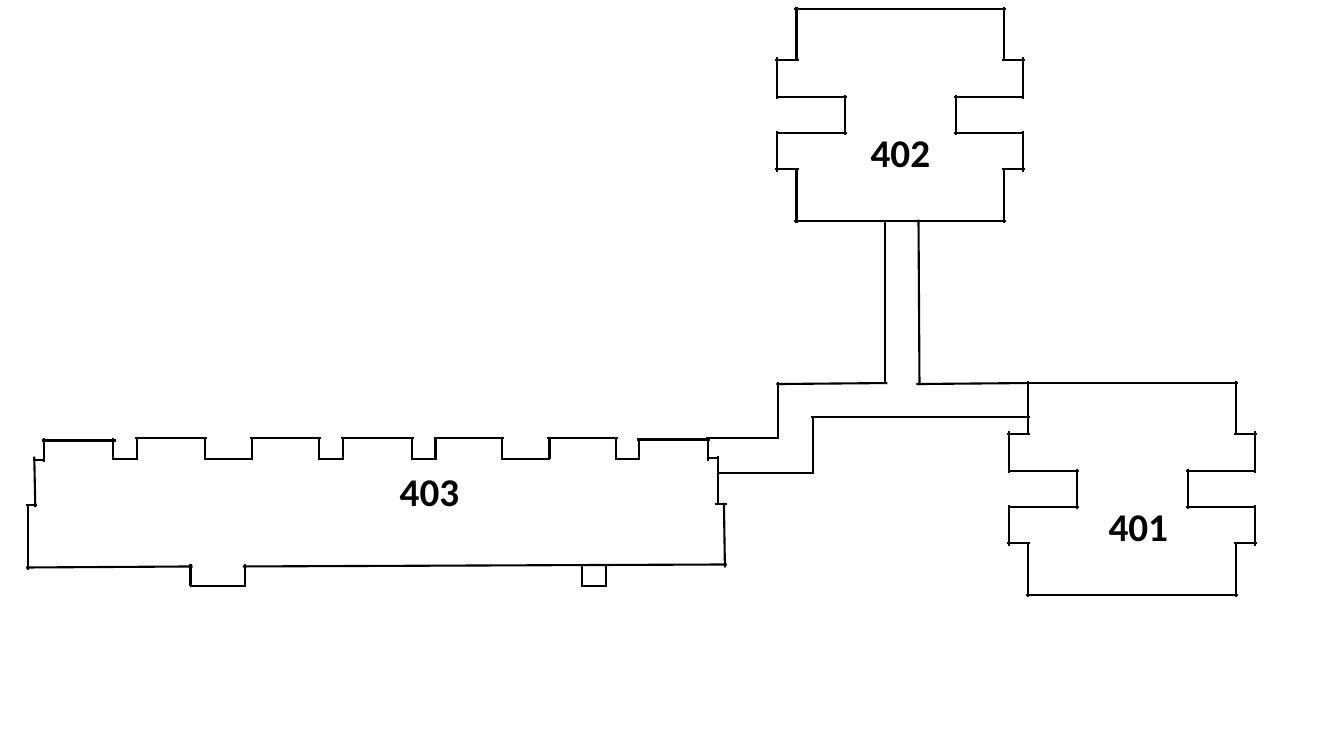
from itertools import pairwise, product

from lxml.etree import SubElement
from pptx import Presentation
from pptx.dml.color import RGBColor
from pptx.enum.shapes import MSO_CONNECTOR
from pptx.enum.text import MSO_ANCHOR, PP_ALIGN
from pptx.oxml.ns import qn
from pptx.util import Inches, Pt

BLACK = RGBColor(0x00, 0x00, 0x00)

LABELS = [
    ("401", 9.98, 4.93, 1.29),
    ("402", 7.62, 1.22, 1.01),
    ("403", 2.95, 4.59, 1.29),
]

TOWER_CENTERS = [(11.23, 4.85), (8.93, 1.14)]
TOWER_EDGE = (-1.05, 1.05, 1.05, 1.05)
TOWER_NOTCH_END = (0.55, -0.2, 0.55, 0.2)
TOWER_CORNER = [
    (1.03, 0.53, 1.03, 1.07),
    (1.01, 0.54, 1.24, 0.54),
    (1.22, 0.16, 1.22, 0.57),
    (0.53, 0.18, 1.23, 0.18),
]

HALL_WALLS = [
    (7.21, 5.6, 2.41, 5.62),
    (1.91, 5.62, 0.26, 5.63),
    (0.28, 5.65, 0.28, 5.01),
    (0.37, 5.01, 0.26, 5.01),
    (0.35, 5.03, 0.34, 4.53),
    (0.44, 4.56, 0.33, 4.56),
    (0.44, 4.58, 0.44, 4.35),
    (1.15, 4.37, 0.42, 4.37),
    (7.19, 5.63, 7.18, 4.99),
    (7.09, 5, 7.21, 5),
    (7.12, 5.01, 7.12, 4.52),
    (7.02, 4.54, 7.13, 4.54),
    (7.02, 4.57, 7.02, 4.34),
    (6.32, 4.36, 7.04, 4.36),
]
HALL_NOTCHES = [
    (1.12, 1.36), (2.03, 2.5), (3.16, 3.4),
    (4.09, 4.32), (4.98, 5.45), (6.11, 6.34),
]
HALL_BAYS = [(1.89, 2.43), (5.77, 6.01)]
NOTCH_TOP, NOTCH_FLOOR = 4.35, 4.55
BAY_TOP, BAY_FLOOR = 5.6, 5.81
OVERLAP = 0.02

CORRIDORS = [
    (8.78, 3.81, 8.78, 2.18),
    (9.12, 3.82, 9.11, 2.18),
    (10.19, 3.8, 9.09, 3.81),
    (8.8, 3.8, 7.7, 3.81),
    (7.72, 4.36, 7.72, 3.79),
    (7.73, 4.35, 7, 4.35),
    (10.22, 4.14, 8.04, 4.14),
    (8.06, 4.7, 8.06, 4.13),
    (8.07, 4.69, 7.12, 4.69),
]


def tower_walls(center_x, center_y):
    """Return the walls of one tower, mirrored about its center."""
    def mirrored(wall, across, down):
        x1, y1, x2, y2 = wall
        return (center_x + across * x1, center_y + down * y1,
                center_x + across * x2, center_y + down * y2)

    walls = [mirrored(wall, across, down)
             for wall in TOWER_CORNER
             for across, down in product((-1, 1), repeat=2)]
    for side in (-1, 1):
        walls.append(mirrored(TOWER_EDGE, 1, side))
        walls.append(mirrored(TOWER_NOTCH_END, side, 1))
    return walls


def recess_walls(left, right, top, floor):
    """Return the two sides and the floor of a recess."""
    return [(left, floor, left, top), (right, floor, right, top),
            (left - 0.01, floor, right + 0.01, floor)]


def hall_walls():
    """Return the walls of the long hall."""
    walls = list(HALL_WALLS)
    for left, right in HALL_NOTCHES:
        walls += recess_walls(left, right, NOTCH_TOP, NOTCH_FLOOR)
    for left, right in HALL_BAYS:
        walls += recess_walls(left, right, BAY_TOP, BAY_FLOOR)
    for (_, start), (end, _) in pairwise(HALL_NOTCHES):
        walls.append((start - OVERLAP, NOTCH_TOP, end + OVERLAP, NOTCH_TOP))
    return walls


def add_wall(slide, wall):
    """Draw one wall as a straight black line."""
    line = slide.shapes.add_connector(
        MSO_CONNECTOR.STRAIGHT, *(Inches(length) for length in wall))
    line.line.color.rgb = BLACK
    line.line.width = Pt(1.5)
    SubElement(line._element.spPr, qn("a:effectLst"))


def add_label(slide, text, left, top, height, *, width=2.62, size=28,
              font="Calibri", color=BLACK, bold=True, rotation=359.9):
    """Add a centred building number."""
    label = slide.shapes.add_textbox(
        Inches(left), Inches(top), Inches(width), Inches(height))
    label.rotation = rotation
    frame = label.text_frame
    frame.word_wrap = True
    frame.vertical_anchor = MSO_ANCHOR.TOP
    paragraph = frame.paragraphs[0]
    paragraph.alignment = PP_ALIGN.CENTER
    run = paragraph.add_run()
    run.text = text
    run.font.size = Pt(size)
    run.font.name = font
    run.font.bold = bold
    run.font.color.rgb = color


def main():
    """Build the floor plan slide."""
    presentation = Presentation()
    presentation.slide_width = Inches(13.33)
    presentation.slide_height = Inches(7.5)
    slide = presentation.slides.add_slide(presentation.slide_layouts[6])
    walls = hall_walls() + CORRIDORS
    for center in TOWER_CENTERS:
        walls += tower_walls(*center)
    for wall in walls:
        add_wall(slide, wall)
    for label in LABELS:
        add_label(slide, *label)
    presentation.save("out.pptx")


if __name__ == "__main__":
    main()
